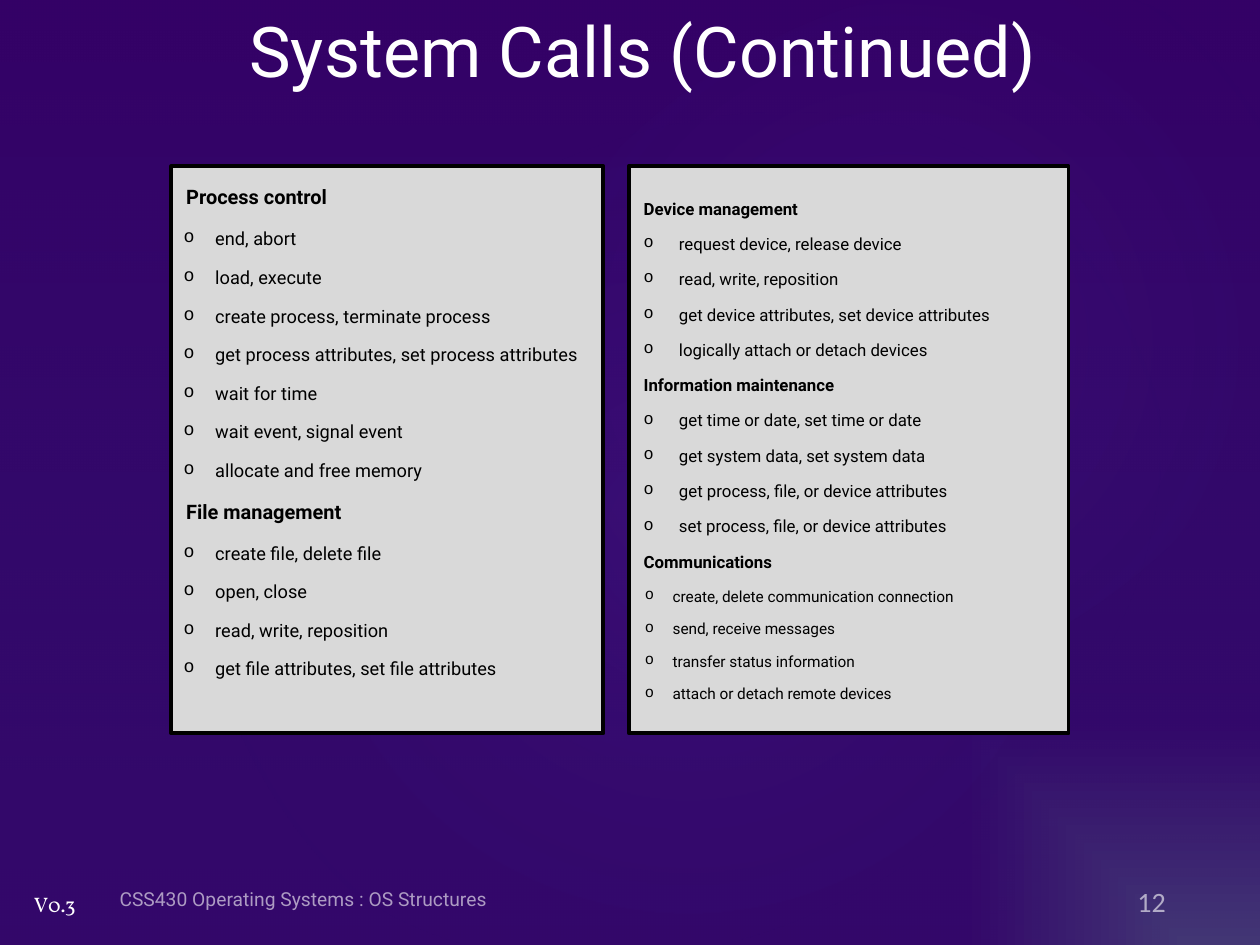
import pptx
import pptx.dml.color
import pptx.enum.shapes
import pptx.enum.text
import pptx.oxml
import pptx.oxml.ns
import pptx.util
from lxml import etree

Pt = pptx.util.Pt
qn = pptx.oxml.ns.qn
ANCHOR = pptx.enum.text.MSO_ANCHOR
ALIGN = pptx.enum.text.PP_ALIGN
SHAPE = pptx.enum.shapes.MSO_SHAPE

COLORS = {
    "corner": "463673",
    "purple": "350267",
    "indigo": "330066",
    "blue": "263B86",
    "violet": "A347FF",
    "white": "FFFFFF",
    "panel": "D9D9D9",
    "black": "000000",
}


def set_gradient(fill, stops, direction):
    fill.gradient()
    gradient = fill._fill._gradFill
    for child in list(gradient):
        gradient.remove(child)
    stop_list = etree.SubElement(gradient, qn("a:gsLst"))
    for position, color, opacity in stops:
        stop = etree.SubElement(stop_list, qn("a:gs"), pos=str(position * 1000))
        value = etree.SubElement(stop, qn("a:srgbClr"), val=COLORS[color])
        etree.SubElement(value, qn("a:alpha"), val=str(opacity * 1000))
    gradient.append(pptx.oxml.parse_xml(direction))


def add_run(paragraph, text, size, font, color, bold=False, opacity=100):
    run = paragraph.add_run()
    run.text = text
    run.font.size = Pt(size)
    run.font.name = font
    run.font.bold = bold
    run.font.color.rgb = pptx.dml.color.RGBColor.from_string(COLORS[color])
    if opacity < 100:
        value = run.font.fill._xPr.find(".//" + qn("a:srgbClr"))
        etree.SubElement(value, qn("a:alpha"), val=str(opacity * 1000))


NAMESPACE = 'xmlns:a="http://schemas.openxmlformats.org/drawingml/2006/main"'
FROM_CORNER = f'<a:path {NAMESPACE} path="rect"><a:fillToRect l="100000" t="100000"/></a:path>'
FROM_CENTER = (f'<a:path {NAMESPACE} path="circle">'
               '<a:fillToRect l="50000" t="50000" r="50000" b="50000"/></a:path>')
DOWNWARD = f'<a:lin {NAMESPACE} ang="5400000" scaled="0"/>'

presentation = pptx.Presentation()
presentation.slide_width = Pt(720)
presentation.slide_height = Pt(540)
slide = presentation.slides.add_slide(presentation.slide_layouts[6])

set_gradient(slide.background.fill, [(0, "corner", 100), (47, "purple", 100)], FROM_CORNER)

backdrops = [
    (SHAPE.RECTANGLE, (0, 0, 720, 540), 0, [(0, "indigo", 36), (100, "blue", 10)], DOWNWARD),
    (SHAPE.OVAL, (108, 82.08, 570.24, 449.28), 328.7,
     [(0, "violet", 7), (58, "blue", 0)], FROM_CENTER),
    (SHAPE.OVAL, (257.76, 9.36, 510.48, 374.4), 328.7,
     [(0, "violet", 8), (58, "blue", 0)], FROM_CENTER),
]
for kind, bounds, rotation, stops, direction in backdrops:
    shape = slide.shapes.add_shape(kind, *map(Pt, bounds))
    shape.rotation = rotation
    shape.shadow.inherit = False
    shape.line.fill.background()
    set_gradient(shape.fill, stops, direction)

labels = [
    ("V0.3", (12.24, 506.16, 38.16, 21.6), 12, "Vollkorn", 100, ALIGN.LEFT, ANCHOR.TOP, False, 3.6),
    ("System Calls (Continued)", (61.2, 0, 612, 56.88), 40, "Roboto", 100,
     ALIGN.CENTER, ANCHOR.MIDDLE, True, 3.6),
    ("12", (592.56, 498.96, 80.64, 28.8), 16, "Calibri", 60,
     ALIGN.RIGHT, ANCHOR.MIDDLE, True, 0.72),
    ("CSS430 Operating Systems : OS Structures", (61.2, 498.96, 363.6, 28.8), 11, "Roboto", 60,
     ALIGN.LEFT, ANCHOR.MIDDLE, True, 3.6),
]
for text, bounds, size, font, opacity, alignment, anchor, wrap, bottom in labels:
    frame = slide.shapes.add_textbox(*map(Pt, bounds)).text_frame
    frame.word_wrap = wrap
    frame.vertical_anchor = anchor
    frame.margin_bottom = Pt(bottom)
    paragraph = frame.paragraphs[0]
    paragraph.alignment = alignment
    add_run(paragraph, text, size, font, "white", opacity=opacity)

PROCESS_STYLE = (10.4, 18, 18, 13.3)
DEVICE_STYLE = (9.6, 21.6, 20.16, 12.1)
COMMUNICATION_STYLE = (8.8, 18, 15.84, 11.1)
panels = [
    (97.92, 246.96, 14.4, 11.4, 14.6, [
        ("Process control", PROCESS_STYLE, [
            "end, abort", "load, execute", "create process, terminate process",
            "get process attributes, set process attributes", "wait for time",
            "wait event, signal event", "allocate and free memory"]),
        ("File management", PROCESS_STYLE, [
            "create ﬁle, delete ﬁle", "open, close", "read, write, reposition",
            "get ﬁle attributes, set ﬁle attributes"]),
    ]),
    (359.28, 251.28, 21.4, 9.6, 12.1, [
        ("Device management", DEVICE_STYLE, [
            "request device, release device", "read, write, reposition",
            "get device attributes, set device attributes",
            "logically attach or detach devices"]),
        ("Information maintenance", DEVICE_STYLE, [
            "get time or date, set time or date", "get system data, set system data",
            "get process, ﬁle, or device attributes",
            "set process, ﬁle, or device attributes"]),
        ("Communications", COMMUNICATION_STYLE, [
            "create, delete communication connection", "send, receive messages",
            "transfer status information", "attach or detach remote devices"]),
    ]),
]
for left, width, top_margin, heading_size, heading_gap, sections in panels:
    panel = slide.shapes.add_shape(SHAPE.RECTANGLE, Pt(left), Pt(95.04), Pt(width), Pt(324))
    panel.shadow.inherit = False
    panel.fill.solid()
    panel.fill.fore_color.rgb = pptx.dml.color.RGBColor.from_string(COLORS["panel"])
    panel.line.color.rgb = pptx.dml.color.RGBColor.from_string(COLORS["black"])
    panel.line.width = Pt(2.25)
    frame = panel.text_frame
    frame.word_wrap = True
    frame.vertical_anchor = ANCHOR.TOP
    frame.margin_top = Pt(top_margin)
    paragraph = frame.paragraphs[0]
    for section_index, (heading, style, items) in enumerate(sections):
        item_size, indent, hanging, item_gap = style
        for line_index, text in enumerate([heading] + items):
            is_heading = line_index == 0
            is_first = is_heading and section_index == 0
            if not is_first:
                paragraph = frame.add_paragraph()
            paragraph.alignment = ALIGN.LEFT
            paragraph.line_spacing = 0.7
            gap = heading_gap if line_index < 2 else item_gap
            paragraph.space_before = Pt(0 if is_first else gap)
            properties = paragraph._p.get_or_add_pPr()
            properties.set("marL", str(Pt(1.44 if is_heading else indent)))
            properties.set("indent", str(Pt(0 if is_heading else -hanging)))
            if not is_heading:
                etree.SubElement(properties, qn("a:buFont"), typeface="Courier New")
                etree.SubElement(properties, qn("a:buChar"), char="o")
            size = heading_size if is_heading else item_size
            add_run(paragraph, text, size, "Roboto", "black", bold=is_heading)

presentation.save("out.pptx")
